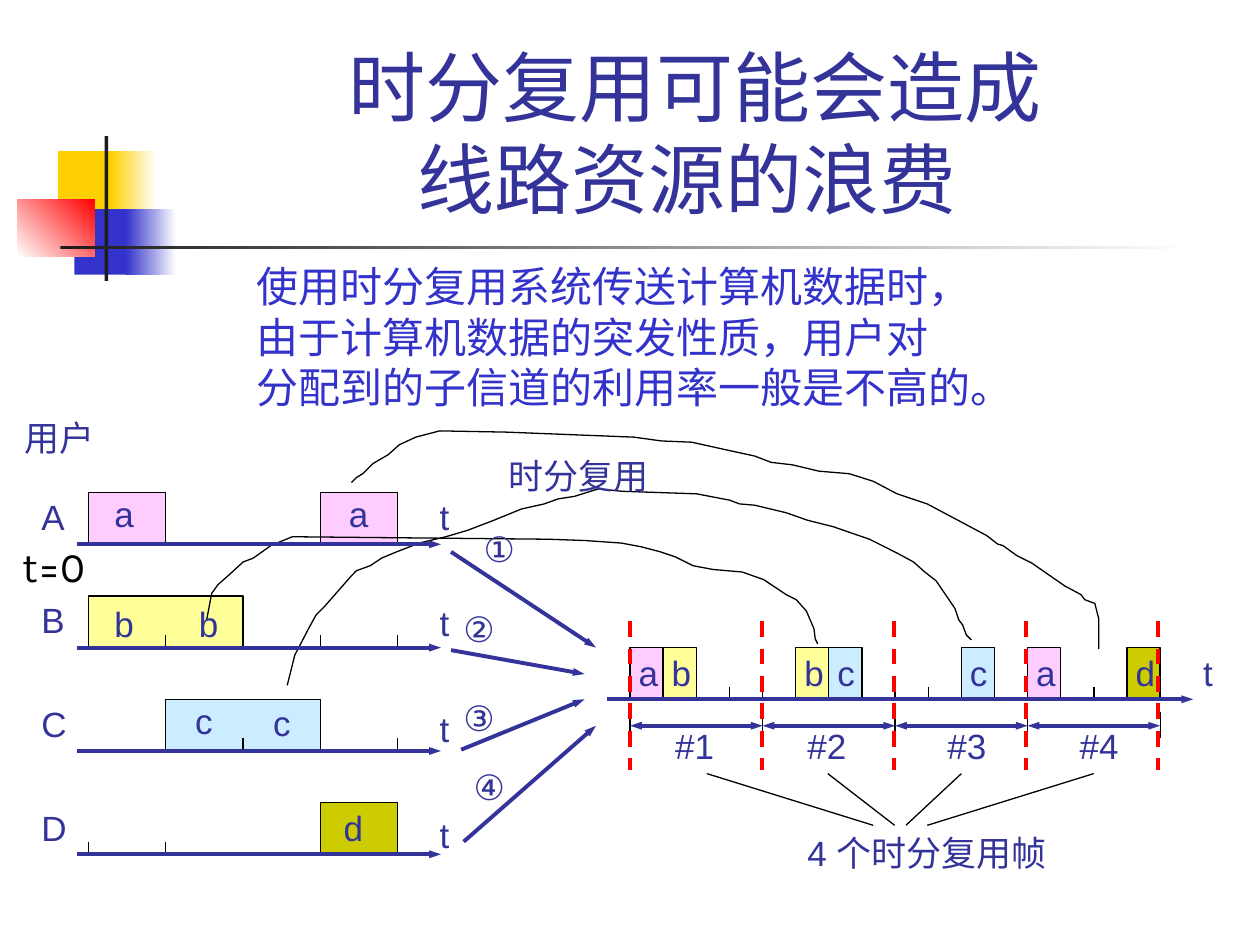
from lxml.etree import SubElement
from pptx import Presentation
from pptx.dml.color import RGBColor
from pptx.enum.dml import MSO_LINE
from pptx.enum.shapes import MSO_CONNECTOR, MSO_SHAPE
from pptx.enum.text import MSO_ANCHOR, MSO_AUTO_SIZE, PP_ALIGN
from pptx.oxml.ns import qn
from pptx.util import Cm, Pt

NAVY, BLUE, BLACK, RED = "333399", "3333CC", "000000", "FF0000"
FILLS = {"a": "FFCCFF", "b": "FFFF99", "c": "CCECFF", "d": "CCCC00"}


def grid(value):
    """Turn a grid position, one unit being 2.54 cm, into a length."""
    return Cm(value * 2.54)


def rgb(colour):
    return RGBColor.from_string(colour)


presentation = Presentation()
presentation.slide_width, presentation.slide_height = Cm(25.4), Cm(19.05)
slide = presentation.slides.add_slide(presentation.slide_layouts[5])
shapes = slide.shapes

# Corner decoration: left, top, width, height, colours, gradient angle
decoration = [
    (0.46, 1.2, 0.48, 0.52, ["FFCF01"], 0),
    (0.88, 1.2, 0.36, 0.52, ["FFCF01", "FFFFFF"], 0),
    (0.59, 1.66, 0.46, 0.52, [BLUE], 0),
    (1, 1.66, 0.4, 0.52, [BLUE, "FFFFFF"], 0),
    (0.14, 1.58, 0.61, 0.46, ["FFFFFF", RED], 45),
    (0.83, 1.08, 0.03, 1.15, ["1C1C1C"], 0),
    (0.48, 1.95, 9, 0.03, ["1C1C1C", "FFFFFF"], 0),
]
for *place, colours, angle in decoration:
    shape = shapes.add_shape(MSO_SHAPE.RECTANGLE, *map(grid, place))
    shape.shadow.inherit = False
    shape.line.fill.background()
    if len(colours) == 1:
        shape.fill.solid()
        shape.fill.fore_color.rgb = rgb(colours[0])
    else:
        shape.fill.gradient()
        shape.fill.gradient_angle = angle
        for stop, colour in zip(shape.fill.gradient_stops, colours):
            stop.color.rgb = rgb(colour)

title = shapes.title
title.left, title.top, title.width, title.height = map(grid, (1.26, 0.23, 8.52, 1.6))
title.text_frame.text = "时分复用可能会造成\v线路资源的浪费 "
title.text_frame.vertical_anchor = MSO_ANCHOR.BOTTOM
paragraph = title.text_frame.paragraphs[0]
paragraph.alignment = PP_ALIGN.CENTER
for name, value in {"size": Pt(44), "name": "Arial"}.items():
    setattr(paragraph.font, name, value)
paragraph.font.color.rgb = rgb(NAVY)

# Time axes of the four users and of the shared line
user_start, user_slot = 0.7, 0.614
user_axes = [4.32 + 0.82 * row for row in range(4)]
line_start, line_slot, line_axis = 5, 0.263, 5.55
frame_width = 4 * line_slot

# Data blocks: left, width, baseline, letter
user_blocks = [(0, 0, 1, "a"), (0, 3, 1, "a"), (1, 0, 2, "b"), (2, 1, 2, "c"), (3, 3, 1, "d")]
blocks = [
    (user_start + slot * user_slot, count * user_slot, user_axes[row], letter)
    for row, slot, count, letter in user_blocks
]
line_blocks = [(10, "c"), (12, "a"), (15, "d"), (6, "c"), (5, "b"), (1, "b"), (0, "a")]
blocks += [
    (line_start + slot * line_slot, line_slot, line_axis, letter)
    for slot, letter in line_blocks
]
# Outlines: points, fill
outlines = [
    ([(left, base), (left, base - 0.41), (left + width, base - 0.41), (left + width, base)],
     FILLS[letter])
    for left, width, base, letter in blocks
]

# Curves that lead each block to its place in the frames
curves = [
    [(2.79, 3.83), (2.83, 3.79), (2.88, 3.76), (2.96, 3.68), (3.08, 3.61), (3.17, 3.53),
     (3.3, 3.47), (3.49, 3.42), (4.02, 3.43), (5.03, 3.47), (5.25, 3.5), (5.49, 3.51),
     (5.76, 3.57), (5.99, 3.62), (6.12, 3.67), (6.29, 3.69), (6.5, 3.74), (6.74, 3.76),
     (6.93, 3.82), (7.12, 3.92), (7.36, 4), (7.83, 4.25), (7.92, 4.32), (7.96, 4.33),
     (8.07, 4.41), (8.19, 4.47), (8.32, 4.56), (8.45, 4.65), (8.58, 4.72), (8.61, 4.76),
     (8.69, 4.79), (8.72, 4.91), (8.72, 5.15)],
    [(2.28, 5.44), (2.34, 5.2), (2.46, 4.97), (2.51, 4.88), (2.58, 4.81), (2.79, 4.57),
     (2.83, 4.53), (2.94, 4.49), (3.03, 4.43), (3.15, 4.38), (3.33, 4.31), (3.54, 4.26),
     (3.71, 4.21), (3.92, 4.13), (4.14, 4.04), (4.32, 4), (4.43, 3.96), (4.56, 3.94),
     (4.75, 3.88), (4.94, 3.9), (5.53, 3.92), (5.79, 3.97), (5.87, 4), (5.99, 4.01),
     (6.24, 4.07), (6.41, 4.13), (6.61, 4.18), (6.9, 4.28), (7.04, 4.35), (7.12, 4.39),
     (7.25, 4.46), (7.34, 4.54), (7.43, 4.61), (7.58, 4.83), (7.61, 4.92), (7.64, 4.96),
     (7.67, 5.04), (7.71, 5.08)],
    [(1.64, 4.92), (1.68, 4.71), (1.73, 4.64), (1.81, 4.57), (1.93, 4.46), (2.01, 4.43),
     (2.15, 4.33), (2.32, 4.26), (4.35, 4.28), (4.64, 4.29), (4.93, 4.31), (5.09, 4.34),
     (5.24, 4.38), (5.36, 4.42), (5.5, 4.49), (5.66, 4.52), (5.89, 4.54), (6.06, 4.6),
     (6.24, 4.72), (6.28, 4.74), (6.32, 4.76), (6.4, 4.85), (6.46, 4.99), (6.47, 5.07),
     (6.49, 5.11)],
]
outlines += [(points, None) for points in curves]
for points, fill in outlines:
    start, *others = [(grid(x), grid(y)) for x, y in points]
    builder = shapes.build_freeform(*start)
    builder.add_line_segments(others, close=False)
    shape = builder.convert_to_shape()
    shape.shadow.inherit = False
    shape.line.color.rgb = rgb(BLACK)
    shape.line.width = Pt(0.75)
    if fill:
        shape.fill.solid()
        shape.fill.fore_color.rgb = rgb(fill)
    else:
        shape.fill.background()

# Straight lines, grouped by look
thin = [(5.61, 6.14, 6.93, 6.55), (6.57, 6.14, 7.1, 6.55),
        (7.63, 6.14, 7.19, 6.55), (8.68, 6.14, 7.36, 6.55)]
for row, slots in {1: (1, 3, 4), 2: (2, 4), 3: (0, 1, 3)}.items():
    for slot in slots:
        x = user_start + slot * user_slot
        thin.append((x, user_axes[row] - 0.1, x, user_axes[row]))
for slot in (2, 3, 4, 8, 9, 14):
    x = line_start + slot * line_slot
    thin.append((x, line_axis - 0.1, x, line_axis))
edges = [line_start + frame * frame_width for frame in range(5)]
thin += [(x, 5.65, x, 5.86) for x in edges]
spans = [(left, 5.76, right, 5.76) for left, right in zip(edges, edges[1:])]
arrows = [(0.61, y, 3.5, y) for y in user_axes]
arrows += [(4.82, line_axis, 9.47, line_axis), (3.58, 4.38, 4.73, 5.14),
           (3.58, 5.16, 4.64, 5.35), (3.66, 5.95, 4.64, 5.55), (3.68, 6.68, 4.73, 5.76)]
borders = [(5 + 1.047 * i, 4.93, 5 + 1.047 * i, 6.11) for i in range(5)]
looks = [
    (thin, BLACK, {"width": Pt(0.75)}, []),
    (spans, NAVY, {"width": Pt(2.25)}, ["a:headEnd", "a:tailEnd"]),
    (arrows, NAVY, {"width": Pt(2.25)}, ["a:tailEnd"]),
    (borders, RED, {"width": Pt(2.25), "dash_style": MSO_LINE.DASH}, []),
]
for lines, colour, line_format, ends in looks:
    for ends_at in lines:
        connector = shapes.add_connector(MSO_CONNECTOR.STRAIGHT, *map(grid, ends_at))
        connector.line.color.rgb = rgb(colour)
        for name, value in line_format.items():
            setattr(connector.line, name, value)
        for end in ends:
            SubElement(connector.line._get_or_add_ln(), qn(end), type="triangle", w="sm", len="med")
        SubElement(connector._element.spPr, qn("a:effectLst"))

# Labels: text, left, top, width
labels = [
    ("用户", 0.1, 3.26, 0.76), ("时分复用", 3.94, 3.56, 1.31), ("t", 9.45, 5.12, 0.28),
    ("a", 0.81, 3.86, 0.36), ("a", 2.67, 3.86, 0.36), ("b", 0.81, 4.73, 0.36),
    ("b", 1.48, 4.73, 0.36), ("c", 1.45, 5.5, 0.34), ("c", 2.07, 5.52, 0.34),
    ("d", 2.63, 6.35, 0.36), ("①", 3.74, 4.14, 0.48), ("②", 3.58, 4.77, 0.48),
    ("③", 3.58, 5.48, 0.48), ("④", 3.66, 6.03, 0.48), ("#1", 5.26, 5.7, 0.51),
    ("#2", 6.31, 5.7, 0.51), ("#3", 7.42, 5.7, 0.51), ("#4", 8.47, 5.7, 0.51),
    ("4 个时分复用帧", 6.31, 6.55, 2.1),
]
for row, user in enumerate("ABCD"):
    labels.append((user, 0.23, 3.88 + 0.823 * row, 0.4))
    labels.append(("t", 3.39, 3.88 + 0.843 * row, 0.28))
for slot, letter in line_blocks:
    labels.append((letter, line_start + slot * line_slot - 0.03, 5.12, 0.36))

small = {"size": Pt(20), "name": "Arial"}
texts = [(*label, 0.43, small, NAVY, PP_ALIGN.LEFT) for label in labels]
texts.append((
    "使用时分复用系统传送计算机数据时，\n由于计算机数据的突发性质，用户对\n分配到的子信道的利用率一般是不高的。",
    1.94, 2.02, 6.37, 1.3, {"size": Pt(24), "name": "Noto Sans CJK SC"}, BLUE, PP_ALIGN.LEFT))
texts.append(("t=0", 0.01, 4.24, 0.84, 0.5, {"size": Pt(24), "name": "Karla"}, BLACK,
              PP_ALIGN.CENTER))
for text, *place, font_format, colour, alignment in texts:
    frame = shapes.add_textbox(*map(grid, place)).text_frame
    frame.text = text
    frame.word_wrap = text.startswith("4 ")
    frame.auto_size = MSO_AUTO_SIZE.SHAPE_TO_FIT_TEXT
    for paragraph in frame.paragraphs:
        paragraph.alignment = alignment
        for name, value in font_format.items():
            setattr(paragraph.font, name, value)
        paragraph.font.color.rgb = rgb(colour)

presentation.save("out.pptx")
